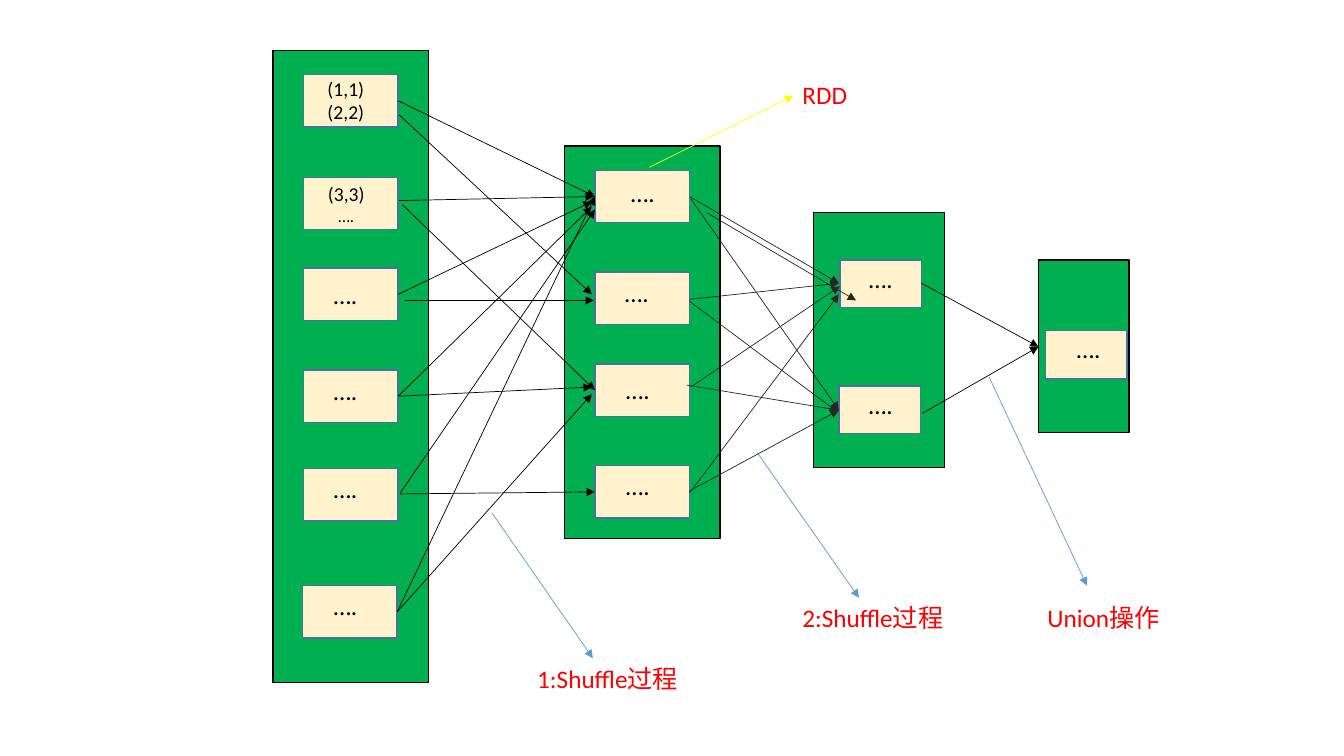
from dataclasses import dataclass

from pptx import Presentation
from pptx.dml.color import RGBColor
from pptx.enum.shapes import MSO_CONNECTOR as Connector, MSO_SHAPE as Preset
from pptx.enum.text import MSO_AUTO_SIZE as AutoSize, PP_ALIGN as Align
from pptx.oxml.ns import qn
from pptx.util import Inches, Pt
from lxml.etree import SubElement


@dataclass(frozen=True)
class Theme:
    font: str = "Calibri"
    panel: str = "00B050"
    cell: str = "FFF2CC"
    cell_edge: str = "43739E"
    ink: str = "000000"
    shuffle_ink: str = "262626"
    label: str = "FF0000"
    pointer: str = "5B9BD5"
    rdd_pointer: str = "FFFF00"
    text: int = 18
    pair: int = 14
    small: int = 12
    edge: float = 1
    arrow: float = 0.5


THEME = Theme()
WIDTH, HEIGHT = Inches(13.33), Inches(7.5)
COLUMNS, ROWS = 1333, 750
DOTS = "…."
DOTS_SIZE = (44, 40)

# Each stage: panel box, cell size, cell corners, corners of the dots
STAGES = [
    ((271, 50, 154, 627), (94, 52),
     [(301, 74), (301, 176), (301, 266), (301, 367), (301, 465), (300, 581)],
     [(321, 272), (321, 367), (321, 465), (321, 581)]),
    ((560, 145, 154, 389), (94, 52),
     [(590, 169), (590, 270), (590, 361), (590, 462)],
     [(616, 171), (610, 270), (611, 366), (611, 462)]),
    ((807, 211, 130, 253), (81, 47),
     [(833, 258), (832, 383)],
     [(852, 256), (852, 381)]),
    ((1030, 258, 90, 171), (81, 48),
     [(1037, 328)],
     [(1058, 326)]),
]

# Arrows: start column and row, end column and row
FIRST_SHUFFLE = [
    (395, 100, 590, 195), (396, 199, 589, 195), (395, 292, 587, 200),
    (395, 393, 587, 205), (397, 489, 590, 208), (394, 607, 590, 195),
    (396, 114, 587, 292), (402, 298, 589, 298), (396, 393, 587, 384),
    (394, 607, 587, 391), (397, 490, 590, 488), (399, 203, 590, 387),
]
SECOND_SHUFFLE = [
    (684, 195, 832, 281), (684, 297, 832, 281), (685, 384, 833, 284),
    (684, 489, 832, 292), (685, 197, 832, 407), (684, 299, 831, 409),
    (681, 382, 832, 407), (684, 487, 832, 407), (701, 211, 849, 298),
]
UNION = [(914, 281, 1030, 344), (915, 410, 1030, 344)]
POINTERS = [(488, 509, 588, 653), (751, 449, 852, 593), (981, 374, 1078, 581)]
RDD_POINTER = [(644, 166, 787, 95)]

LABELS = [
    ("RDD", (786, 74, 65, 40)),
    ("1:Shuffle过程", (523, 653, 162, 70)),
    ("2:Shuffle过程", (786, 593, 162, 70)),
    ("Union操作", (1029, 593, 133, 70)),
]


def place(left, top, width, height):
    """Turn grid columns and rows into slide lengths."""
    return (WIDTH * left // COLUMNS, HEIGHT * top // ROWS,
            WIDTH * width // COLUMNS, HEIGHT * height // ROWS)


def add_box(slide, box, fill, edge):
    shape = slide.shapes.add_shape(Preset.RECTANGLE, *place(*box))
    shape.shadow.inherit = False
    shape.fill.solid()
    shape.fill.fore_color.rgb = RGBColor.from_string(fill)
    shape.line.color.rgb = RGBColor.from_string(edge)
    shape.line.width = Pt(THEME.edge)


def add_text(slide, box, lines, color, wrap=False, align=Align.LEFT):
    """Add a text box; lines holds (text, size) pairs."""
    frame = slide.shapes.add_textbox(*place(*box)).text_frame
    frame.word_wrap = wrap
    frame.auto_size = AutoSize.SHAPE_TO_FIT_TEXT
    for index, (text, size) in enumerate(lines):
        paragraph = frame.add_paragraph() if index else frame.paragraphs[0]
        paragraph.text = text
        paragraph.alignment = align
        paragraph.font.name = THEME.font
        paragraph.font.size = Pt(size)
        paragraph.font.color.rgb = RGBColor.from_string(color)


def add_arrows(slide, arrows, color):
    for start_column, start_row, end_column, end_row in arrows:
        start_x, start_y, end_x, end_y = place(
            start_column, start_row, end_column, end_row)
        connector = slide.shapes.add_connector(
            Connector.STRAIGHT, start_x, start_y, end_x, end_y)
        connector.line.color.rgb = RGBColor.from_string(color)
        connector.line.width = Pt(THEME.arrow)
        SubElement(connector.line._get_or_add_ln(), qn("a:tailEnd"), type="triangle")
        SubElement(connector._element.spPr, qn("a:effectLst"))


def add_stage(slide, panel, cell_size, cells, dots):
    add_box(slide, panel, THEME.panel, THEME.ink)
    for corner in cells:
        add_box(slide, corner + cell_size, THEME.cell, THEME.cell_edge)
    for corner in dots:
        add_text(slide, corner + DOTS_SIZE, [(DOTS, THEME.text)], THEME.ink)


def main():
    presentation = Presentation()
    presentation.slide_width, presentation.slide_height = WIDTH, HEIGHT
    slide = presentation.slides.add_slide(presentation.slide_layouts[6])

    # Partitions of each stage
    for stage in STAGES:
        add_stage(slide, *stage)

    # Key-value pairs in the first two partitions
    add_text(slide, (315, 71, 80, 57),
             [("(1,1)", THEME.pair), ("(2,2)", THEME.pair)], THEME.ink, wrap=True)
    add_text(slide, (315, 176, 57, 57),
             [("(3,3)", THEME.pair), (DOTS, THEME.small)], THEME.ink,
             align=Align.CENTER)

    # Data flow and pointers
    add_arrows(slide, FIRST_SHUFFLE + UNION, THEME.ink)
    add_arrows(slide, SECOND_SHUFFLE, THEME.shuffle_ink)
    add_arrows(slide, POINTERS, THEME.pointer)
    add_arrows(slide, RDD_POINTER, THEME.rdd_pointer)

    # Labels
    for text, box in LABELS:
        add_text(slide, box, [(text, THEME.text)], THEME.label, wrap=True)

    presentation.save("out.pptx")


if __name__ == "__main__":
    main()
